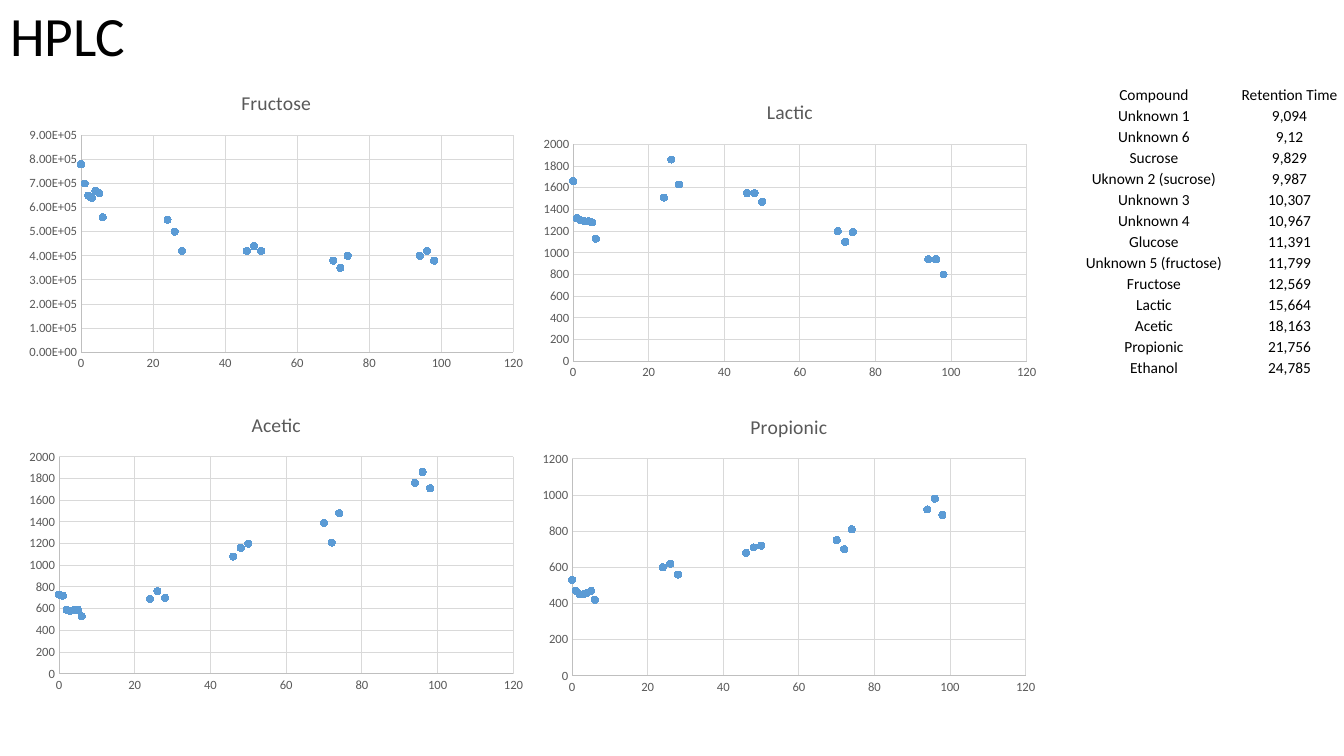
from pptx import Presentation
from pptx.chart.data import XyChartData
from pptx.dml.color import RGBColor
from pptx.enum.chart import XL_CHART_TYPE as ChartType, XL_MARKER_STYLE as Marker
from pptx.enum.chart import XL_TICK_MARK as TickMark
from pptx.enum.text import MSO_ANCHOR as Anchor, PP_ALIGN as Align
from pptx.util import Inches, Pt

FONT = "Calibri"
BLACK, GRAY, AXIS, GRID, BLUE = "000000", "595959", "BFBFBF", "D9D9D9", "5B9BD5"

HOURS = [0, 1, 2, 3, 4, 5, 6, 24, 26, 28, 46, 48, 50, 70, 72, 74, 94, 96, 98]

# Name, left, top, width, axis maximum, axis step, number format, values
PLOTS = [
    ("Fructose", 0.19, 0.74, 5.1, 900000, 100000, "0.00E+00",
     [780000, 700000, 650000, 640000, 670000, 660000, 560000, 550000, 500000, 420000,
      420000, 440000, 420000, 380000, 350000, 400000, 400000, 420000, 380000]),
    ("Lactic", 5.29, 0.83, 5.09, 2000, 200, "General",
     [1660, 1320, 1300, 1290, 1290, 1280, 1130, 1510, 1860, 1630,
      1550, 1550, 1470, 1200, 1100, 1190, 940, 940, 800]),
    ("Acetic", 0.19, 3.93, 5.1, 2000, 200, "General",
     [730, 720, 590, 580, 590, 590, 530, 690, 760, 700,
      1080, 1160, 1200, 1390, 1210, 1480, 1760, 1860, 1710]),
    ("Propionic", 5.28, 3.95, 5.09, 1200, 200, "General",
     [530, 470, 450, 450, 460, 470, 420, 600, 620, 560,
      680, 710, 720, 750, 700, 810, 920, 980, 890]),
]

RETENTION_TIMES = [
    ("Compound", "Retention Time"),
    ("Unknown 1", "9,094"),
    ("Unknown 6", "9,12"),
    ("Sucrose", "9,829"),
    ("Uknown 2 (sucrose)", "9,987"),
    ("Unknown 3", "10,307"),
    ("Unknown 4", "10,967"),
    ("Glucose", "11,391"),
    ("Unknown 5 (fructose)", "11,799"),
    ("Fructose", "12,569"),
    ("Lactic", "15,664"),
    ("Acetic", "18,163"),
    ("Propionic", "21,756"),
    ("Ethanol", "24,785"),
]


def color(hex_code):
    return RGBColor.from_string(hex_code)


def set_font(font, size, hex_code):
    font.name = FONT
    font.size = Pt(size)
    font.bold = False
    font.color.rgb = color(hex_code)


def set_line(line, hex_code):
    line.color.rgb = color(hex_code)
    line.width = Pt(0.75)


def add_title(slide, text):
    title = slide.shapes.title
    title.left, title.top = Inches(0), Inches(0.02)
    title.width, title.height = Inches(11.5), Inches(0.72)
    title.text_frame.text = text
    title.text_frame.vertical_anchor = Anchor.MIDDLE
    heading = title.text_frame.paragraphs[0]
    heading.alignment = Align.LEFT
    heading.line_spacing = 0.9
    set_font(heading.font, 39.6, BLACK)


def add_retention_table(slide):
    row_height = Inches(0.2083)
    table = slide.shapes.add_table(
        len(RETENTION_TIMES), 2, Inches(10.64), Inches(0.83),
        Inches(2.69), row_height * len(RETENTION_TIMES)).table
    table.first_row = table.horz_banding = False
    table.columns[0].width, table.columns[1].width = Inches(1.61), Inches(1.08)
    for row, texts in zip(table.rows, RETENTION_TIMES):
        row.height = row_height
        for cell, text in zip(row.cells, texts):
            cell.fill.background()
            cell.vertical_anchor = Anchor.BOTTOM
            cell.margin_left = cell.margin_right = cell.margin_top = Inches(0.01)
            cell.margin_bottom = 0
            cell.text = text
            paragraph = cell.text_frame.paragraphs[0]
            paragraph.alignment = Align.CENTER
            set_font(paragraph.font, 11, BLACK)


def format_axis(axis, maximum, step, number_format):
    axis.minimum_scale, axis.maximum_scale, axis.major_unit = 0, maximum, step
    axis.major_tick_mark = axis.minor_tick_mark = TickMark.NONE
    axis.has_major_gridlines = True
    set_line(axis.major_gridlines.format.line, GRID)
    set_line(axis.format.line, AXIS)
    axis.tick_labels.number_format = number_format
    axis.tick_labels.number_format_is_linked = False
    set_font(axis.tick_labels.font, 9, GRAY)


def add_scatter(slide, name, left, top, width, maximum, step, number_format, values):
    data = XyChartData()
    points = data.add_series(name)
    for hour, value in zip(HOURS, values):
        points.add_data_point(hour, value)
    chart = slide.shapes.add_chart(
        ChartType.XY_SCATTER, Inches(left), Inches(top), Inches(width), Inches(3), data).chart
    set_font(chart.font, 10, BLACK)
    chart.has_legend = False
    chart.plots[0].vary_by_categories = False

    # Title
    chart.has_title = True
    chart.chart_title.include_in_layout = False
    chart.chart_title.text_frame.text = name
    set_font(chart.chart_title.text_frame.paragraphs[0].font, 14, GRAY)

    # Axes
    format_axis(chart.category_axis, 120, 20, "General")
    format_axis(chart.value_axis, maximum, step, number_format)

    # Points without a joining line
    series = chart.plots[0].series[0]
    series.smooth = False
    series.format.line.fill.background()
    series.marker.style = Marker.CIRCLE
    series.marker.size = 5
    series.marker.format.fill.solid()
    series.marker.format.fill.fore_color.rgb = color(BLUE)
    set_line(series.marker.format.line, BLUE)


def main():
    prs = Presentation()
    prs.slide_width, prs.slide_height = Inches(13.33), Inches(7.5)
    slide = prs.slides.add_slide(prs.slide_layouts[5])
    add_title(slide, "HPLC")
    add_retention_table(slide)
    for plot in PLOTS:
        add_scatter(slide, *plot)
    prs.save("out.pptx")


if __name__ == "__main__":
    main()
